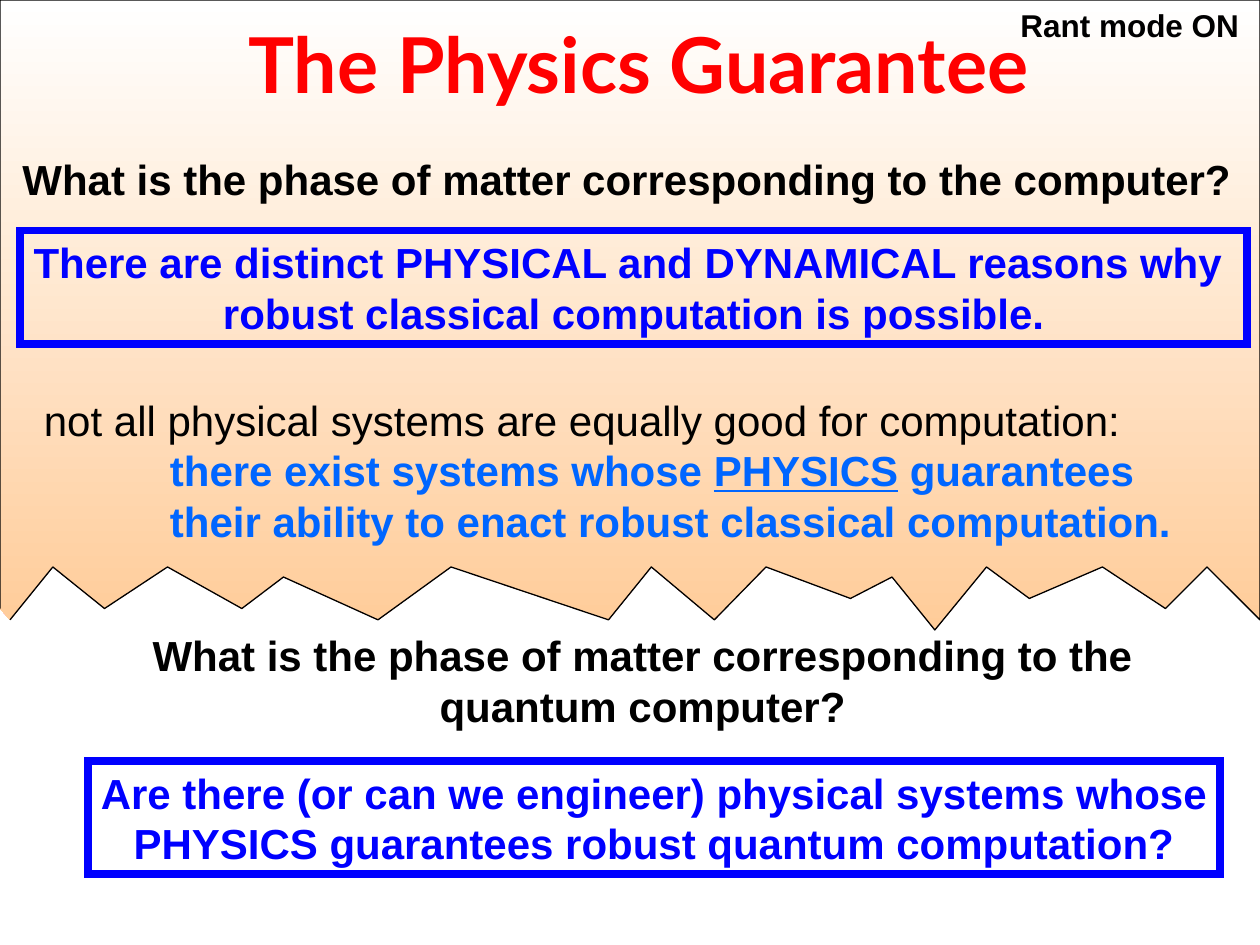
from dataclasses import dataclass

from lxml import etree
from pptx import Presentation
from pptx.dml.color import RGBColor
from pptx.enum.shapes import MSO_SHAPE
from pptx.enum.text import MSO_ANCHOR, MSO_AUTO_SIZE, PP_ALIGN
from pptx.oxml.ns import qn
from pptx.util import Inches, Pt

LEFT, CENTER = PP_ALIGN.LEFT, PP_ALIGN.CENTER
RECT = MSO_SHAPE.RECTANGLE
TOP = MSO_ANCHOR.TOP
GROW = MSO_AUTO_SIZE.SHAPE_TO_FIT_TEXT
TITLE_ONLY = 5


@dataclass(frozen=True)
class Theme:
    """Colours, fonts and sizes of the slide."""
    white: RGBColor = RGBColor(0xFF, 0xFF, 0xFF)
    black: RGBColor = RGBColor(0, 0, 0)
    red: RGBColor = RGBColor(0xFF, 0, 0)
    blue: RGBColor = RGBColor(0, 0, 0xFF)
    azure: RGBColor = RGBColor(0, 0x66, 0xFF)
    peach: RGBColor = RGBColor(0xFF, 0xCC, 0x99)
    title_font: str = "Lato"
    body_font: str = "Arial"
    title_size: Pt = Pt(44)
    body_size: Pt = Pt(24)
    note_size: Pt = Pt(18)
    thin: Pt = Pt(0.75)
    thick: Pt = Pt(4.5)


THEME = Theme()
TORN_EDGE = [
    (0.08, 4.92), (0.42, 4.5), (0.83, 4.83), (1.33, 4.5), (1.92, 4.83),
    (2.25, 4.58), (3, 4.92), (3.58, 4.5), (4.83, 4.92), (5.17, 4.5),
    (5.67, 4.92), (6.08, 4.5), (6.75, 4.75), (7.08, 4.58), (7.42, 5),
    (7.83, 4.5), (8.17, 4.75), (8.75, 4.5), (9.25, 4.83), (9.58, 4.5),
    (10, 4.92),
]


def add_run(p, text, color=THEME.black, size=THEME.body_size,
            font=THEME.body_font, bold=True, underline=False):
    """Add one formatted run to a paragraph."""
    r = p.add_run()
    r.text = text
    r.font.name, r.font.size = font, size
    r.font.bold, r.font.underline = bold, underline
    r.font.color.rgb = color


def set_frame(sp):
    """Make a shape fit its unwrapped text and return its text frame."""
    tf = sp.text_frame
    tf.word_wrap = False
    tf.auto_size = GROW
    tf.vertical_anchor = TOP
    return tf


def add_lines(sp, lines, align=LEFT, **style):
    """Write lines of one style as the paragraphs of a shape."""
    tf = set_frame(sp)
    for i, line in enumerate(lines):
        p = tf.add_paragraph() if i else tf.paragraphs[0]
        p.alignment = align
        add_run(p, line, **style)


def add_torn_panel(s, left, top):
    """Draw the gradient panel with its torn lower edge."""
    points = [(Inches(x), Inches(y))
              for x, y in TORN_EDGE + [(10, 0), (0, 0), (0, 4.83)]]
    builder = s.shapes.build_freeform(*points[0])
    builder.add_line_segments(points[1:], close=False)
    sp = builder.convert_to_shape(left, top)
    sp.shadow.inherit = False
    sp.fill.gradient()
    sp.fill.gradient_angle = 270
    for stop, color in zip(sp.fill.gradient_stops, (THEME.white, THEME.peach)):
        stop.color.rgb = color
    sp.line.color.rgb = THEME.black
    sp.line.width = THEME.thin


def add_title(s, left, top, width, height):
    """Place and format the title."""
    sp = s.shapes.title
    sp.left, sp.top, sp.width, sp.height = left, top, width, height
    add_lines(sp, ["The Physics Guarantee"], CENTER, color=THEME.red,
              size=THEME.title_size, font=THEME.title_font)


def add_text(s, box, lines, align=LEFT, **style):
    """Add a plain text box."""
    add_lines(s.shapes.add_textbox(*box), lines, align, **style)


def add_framed(s, box, lines):
    """Add a statement in a thick blue frame with square corners."""
    sp = s.shapes.add_shape(RECT, *box)
    sp.shadow.inherit = False
    sp.fill.background()
    sp.line.color.rgb = THEME.blue
    sp.line.width = THEME.thick
    ln = sp._element.spPr.find(qn("a:ln"))
    etree.SubElement(ln, qn("a:miter")).set("lim", "800000")
    add_lines(sp, lines, CENTER, color=THEME.blue)


def add_argument(s, box):
    """Add the remark with its indented, coloured conclusion."""
    tf = set_frame(s.shapes.add_textbox(*box))
    add_run(tf.paragraphs[0],
            "not all physical systems are equally good for computation:",
            bold=False)
    conclusion = [
        [("there exist systems whose ", False), ("PHYSICS", True),
         (" guarantees", False)],
        [("their ability to enact robust classical computation.", False)],
    ]
    for runs in conclusion:
        p = tf.add_paragraph()
        p._p.get_or_add_pPr().set("marL", str(Inches(1)))
        for text, underline in runs:
            add_run(p, text, THEME.azure, underline=underline)


def inches(*values):
    """Turn numbers into a box of lengths."""
    return [Inches(v) for v in values]


def main():
    """Build the slide and save it."""
    prs = Presentation()
    prs.slide_width, prs.slide_height = inches(10, 7.5)
    s = prs.slides.add_slide(prs.slide_layouts[TITLE_ONLY])
    add_torn_panel(s, *inches(0, 0))
    title = s.shapes.title._element
    title.getparent().append(title)
    add_title(s, *inches(1.45, 0.08, 7.24, 0.84))
    add_text(s, inches(0.08, 1.17, 9.82, 0.5),
             ["What is the phase of matter corresponding to the computer?"])
    add_framed(s, inches(0.16, 1.83, 9.74, 0.9),
               ["There are distinct PHYSICAL and DYNAMICAL reasons why ",
                "robust classical computation is possible."])
    add_argument(s, inches(0.25, 3.08, 9.25, 1.3))
    add_text(s, inches(8, 0, 1.98, 0.4), ["Rant mode ON"],
             size=THEME.note_size)
    add_framed(s, inches(0.7, 6.04, 8.98, 0.9),
               ["Are there (or can we engineer) physical systems whose",
                "PHYSICS guarantees robust quantum computation?"])
    add_text(s, inches(1.11, 4.95, 7.98, 0.9),
             ["What is the phase of matter corresponding to the",
              "quantum computer?"], CENTER)
    prs.save("out.pptx")


if __name__ == "__main__":
    main()
